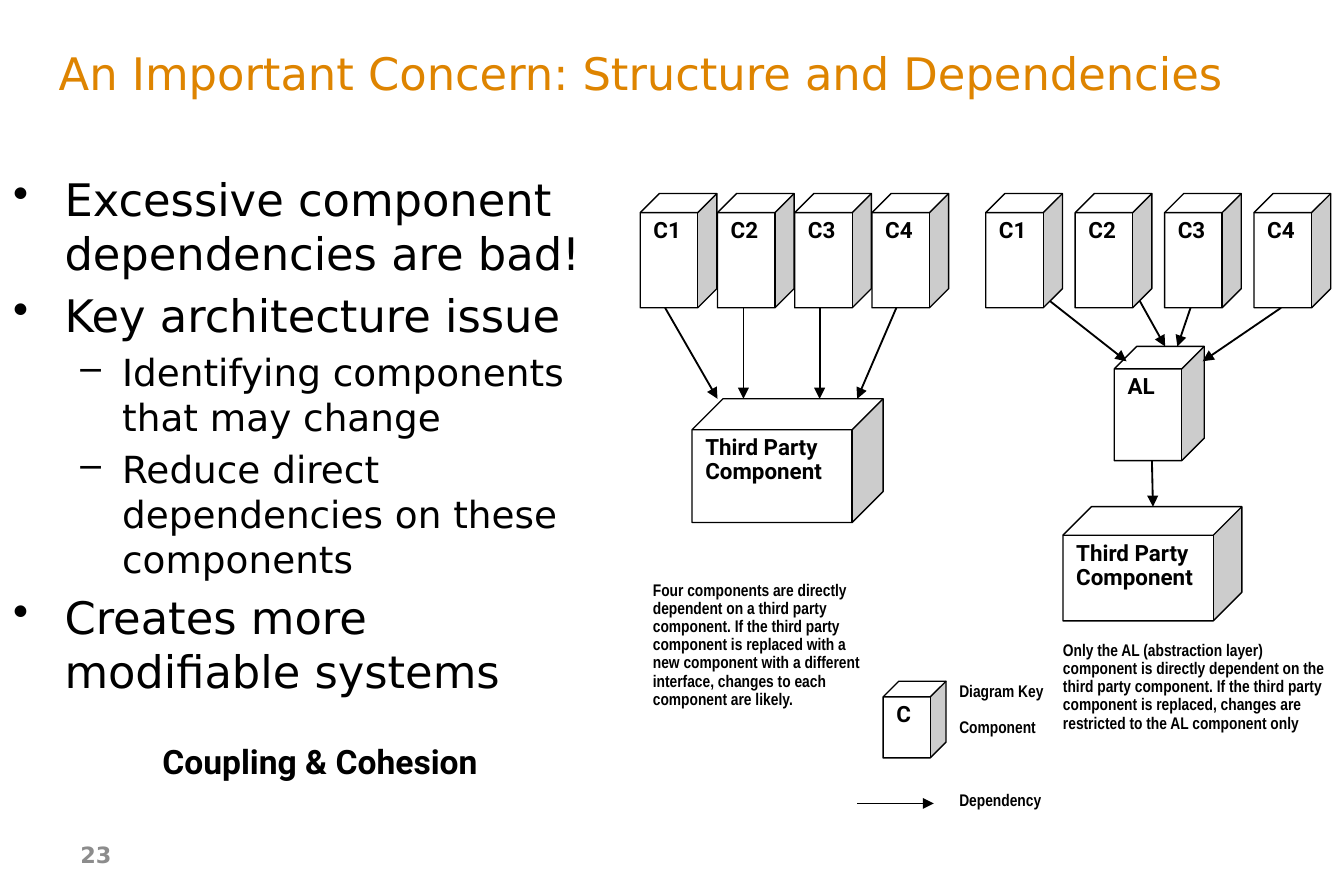
from dataclasses import dataclass
from typing import Any

import lxml.etree
import pptx
import pptx.dml.color
import pptx.enum.shapes
import pptx.enum.text
import pptx.oxml.ns
import pptx.util

Cm = pptx.util.Cm
Pt = pptx.util.Pt
Rgb = pptx.dml.color.RGBColor
Align = pptx.enum.text.PP_ALIGN
Anchor = pptx.enum.text.MSO_ANCHOR
qn = pptx.oxml.ns.qn


@dataclass(frozen=True)
class Font:
    name: str
    size: float
    color: Rgb
    bold: bool = False


@dataclass(frozen=True)
class Theme:
    black: Rgb = Rgb(0, 0, 0)
    white: Rgb = Rgb(255, 255, 255)
    title: Font = Font("DejaVu Sans", 24, Rgb(0xDE, 0x84, 0))
    point: Font = Font("DejaVu Sans", 24, Rgb(0, 0, 0))
    detail: Font = Font("DejaVu Sans", 20, Rgb(0, 0, 0))
    page: Font = Font("DejaVu Sans", 12, Rgb(0x8C, 0x8C, 0x8C), True)
    label: Font = Font("Roboto", 12, Rgb(0, 0, 0), True)
    motto: Font = Font("Roboto", 18, Rgb(0, 0, 0), True)
    note: Font = Font("Arial Narrow", 9, Rgb(0, 0, 0), True)
    edge: float = 0.75
    arrow: float = 1


@dataclass(frozen=True)
class Box:
    text: str
    left: float
    top: float
    width: float
    height: float


@dataclass(frozen=True)
class Arrow:
    x1: float
    y1: float
    x2: float
    y2: float


@dataclass(frozen=True)
class Point:
    text: str
    level: int = 0


THEME = Theme()

TITLE = Box("An Important Concern: Structure and Dependencies", 0.86, 0.58, 23.88, 1.57)
PAGE = Box("23", 1.27, 15.7, 5.92, 0.91)
MOTTO = Box("Coupling & Cohesion", 1.02, 13.97, 10.06, 0.97)
KEY = Box("Diagram Key\nComponent\nDependency", 17.88, 12.78, 2.67, 3.53)
KEY_GAPS = (0, 9.75, 29.25)

POINTS = [
    Point("Excessive component dependencies are bad!"),
    Point("Key architecture issue"),
    Point("Identifying components that may change", 1),
    Point("Reduce direct dependencies on these components", 1),
    Point("Creates more modifiable systems"),
]
BODY = Box("\n".join(point.text for point in POINTS), 0, 3.12, 11.23, 12.01)

NOTES = [
    Box("Four components are directly dependent on a third party component. "
        "If the third party component is replaced with a new component with a "
        "different interface, changes to each component are likely.",
        12.09, 10.87, 4.6, 4.75),
    Box("Only the AL (abstraction layer) component is directly dependent on the "
        "third party component. If the third party component is replaced, changes "
        "are restricted to the AL component only", 19.84, 12.01, 5.56, 3.45),
]

ROWS = [(12.1, 1.46), (18.63, 1.69)]
CUBES = [
    Box(f"C{i + 1}", start + i * step, 3.66, 1.45, 2.16)
    for start, step in ROWS for i in range(4)
] + [
    Box("Third Party\nComponent", 13.08, 7.54, 3.61, 2.34),
    Box("AL", 21.06, 6.55, 1.7, 2.16),
    Box("Third Party\nComponent", 20.09, 9.58, 3.38, 2.16),
    Box("C", 16.69, 12.88, 1.19, 1.45),
]

ARROWS = [
    Arrow(12.57, 5.82, 13.56, 7.54),
    Arrow(14.05, 5.82, 14.05, 7.54),
    Arrow(15.49, 5.82, 15.49, 7.54),
    Arrow(16.94, 5.82, 16.2, 7.54),
    Arrow(19.84, 5.69, 21.29, 6.83),
    Arrow(21.54, 5.69, 22.02, 6.55),
    Arrow(22.5, 5.82, 22.25, 6.55),
    Arrow(24.21, 5.82, 22.73, 6.83),
    Arrow(21.77, 8.71, 21.79, 9.58),
    Arrow(16.2, 15.19, 17.65, 15.19),
]


def place(box: Box) -> tuple[Any, ...]:
    return Cm(box.left), Cm(box.top), Cm(box.width), Cm(box.height)


def style(para: Any, font: Font) -> None:
    for run in para.runs:
        run.font.name = font.name
        run.font.size = Pt(font.size)
        run.font.bold = font.bold
        run.font.color.rgb = font.color


def write(shape: Any, text: str, font: Font, lines: float = 1,
          align: Any = Align.LEFT, anchor: Any = Anchor.TOP) -> Any:
    frame = shape.text_frame
    frame.text = text
    frame.word_wrap = True
    frame.vertical_anchor = anchor
    for para in frame.paragraphs:
        para.alignment = align
        para.line_spacing = lines
        style(para, font)
    return frame


def add_text(slide: Any, box: Box, font: Font, **format: Any) -> Any:
    return write(slide.shapes.add_textbox(*place(box)), box.text, font, **format)


def add_points(slide: Any) -> None:
    frame = add_text(slide, BODY, THEME.point)
    for para, point in zip(frame.paragraphs, POINTS):
        font, mark, left, hang = (
            (THEME.detail, "–", 2.06, 0.79) if point.level
            else (THEME.point, "•", 0.97, 0.97))
        style(para, font)
        para.level = point.level
        para.space_before = Pt(font.size * 0.2)
        props = para._p.get_or_add_pPr()
        props.set("marL", str(Cm(left)))
        props.set("indent", str(-Cm(hang)))
        lxml.etree.SubElement(props, qn("a:buChar")).set("char", mark)


def add_cube(slide: Any, box: Box) -> None:
    cube = slide.shapes.add_shape(pptx.enum.shapes.MSO_SHAPE.CUBE, *place(box))
    cube.shadow.inherit = False
    cube.fill.solid()
    cube.fill.fore_color.rgb = THEME.white
    cube.line.color.rgb = THEME.black
    cube.line.width = Pt(THEME.edge)
    write(cube, box.text, THEME.label, lines=0.9)


def add_arrow(slide: Any, arrow: Arrow) -> None:
    line = slide.shapes.add_connector(
        pptx.enum.shapes.MSO_CONNECTOR.STRAIGHT,
        Cm(arrow.x1), Cm(arrow.y1), Cm(arrow.x2), Cm(arrow.y2))
    line.line.color.rgb = THEME.black
    line.line.width = Pt(THEME.arrow)
    props = line._element.spPr
    lxml.etree.SubElement(props.find(qn("a:ln")), qn("a:tailEnd")).set("type", "triangle")
    lxml.etree.SubElement(props, qn("a:effectLst"))


def main() -> None:
    deck = pptx.Presentation()
    deck.slide_width, deck.slide_height = Cm(25.4), Cm(16.94)
    slide = deck.slides.add_slide(deck.slide_layouts[6])
    add_text(slide, PAGE, THEME.page, anchor=Anchor.MIDDLE)
    add_text(slide, TITLE, THEME.title, anchor=Anchor.MIDDLE)
    add_points(slide)
    for cube in CUBES:
        add_cube(slide, cube)
    for arrow in ARROWS:
        add_arrow(slide, arrow)
    for note in NOTES:
        add_text(slide, note, THEME.note, lines=0.9)
    key = add_text(slide, KEY, THEME.note, lines=0.9)
    for para, gap in zip(key.paragraphs, KEY_GAPS):
        para.space_before = Pt(gap)
    add_text(slide, MOTTO, THEME.motto, lines=0.9, align=Align.CENTER)
    deck.save("out.pptx")


if __name__ == "__main__":
    main()
